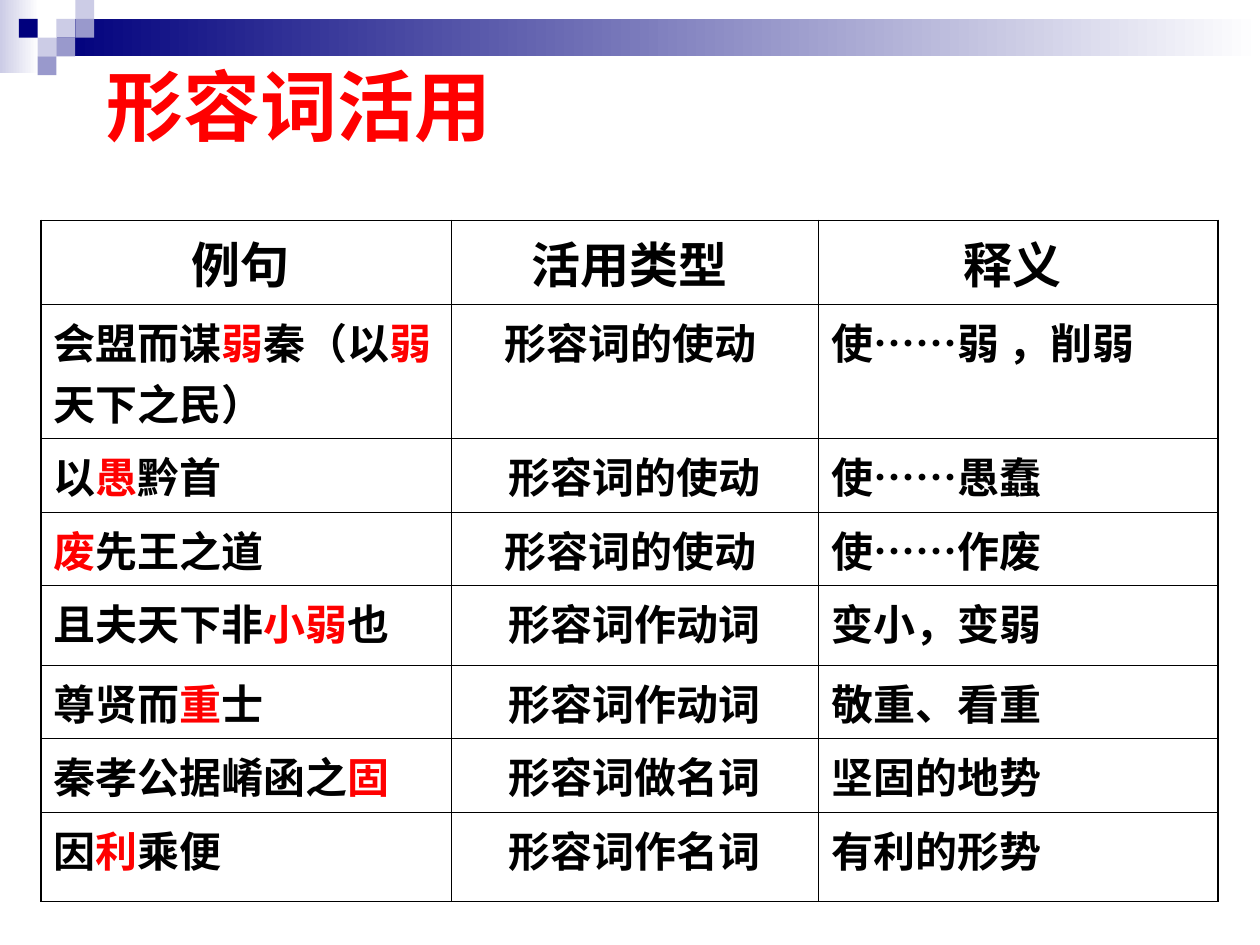
from lxml.etree import SubElement
from pptx import Presentation
from pptx.dml.color import RGBColor
from pptx.enum.shapes import MSO_SHAPE as Shape
from pptx.enum.text import MSO_ANCHOR as Anchor, PP_ALIGN as Align
from pptx.oxml import parse_xml
from pptx.oxml.ns import nsdecls
from pptx.util import Pt


def color(value):
    return RGBColor.from_string(value)


def add_run(paragraph, text, size, name, value):
    run = paragraph.add_run()
    run.text = text
    for key, setting in {"size": Pt(size), "name": name, "bold": True}.items():
        setattr(run.font, key, setting)
    run.font.color.rgb = color(value)


NAVY, LILAC, VIOLET = "00007D", "CCCCE6", "9999CC"
RED, BLACK, WHITE = "FF0000", "000000", "FFFFFF"

presentation = Presentation()
presentation.slide_width, presentation.slide_height = Pt(720), Pt(540)
slide = presentation.slides.add_slide(presentation.slide_layouts[6])

step = 10.75
bars = [(0, 0, 22.3, 41.8, LILAC, True), (32.4, step, 687.6, 21.3, NAVY, True)]
squares = [
    (3, 1, LILAC), (4, 0, LILAC), (4, 1, VIOLET), (2, 2, LILAC),
    (1, 1, NAVY), (3, 2, VIOLET), (2, 3, VIOLET),
]
bars += [(column * step, row * step, step, step, value, False) for column, row, value in squares]
for left, top, width, height, value, fades in bars:
    shape = slide.shapes.add_shape(Shape.RECTANGLE, Pt(left), Pt(top), Pt(width), Pt(height))
    shape.shadow.inherit = False
    shape.line.fill.background()
    if fades:
        shape.fill.gradient()
        shape.fill.gradient_angle = 0
        for stop, stop_value in zip(shape.fill.gradient_stops, (value, WHITE)):
            stop.color.rgb = color(stop_value)
    else:
        shape.fill.solid()
        shape.fill.fore_color.rgb = color(value)

title = slide.shapes.add_textbox(Pt(54), Pt(14.8), Pt(612), Pt(90)).text_frame
title.word_wrap = True
title.vertical_anchor = Anchor.MIDDLE
add_run(title.paragraphs[0], "形容词活用", 44, "Arial", RED)

rows = [
    ("例句 ", "活用类型 ", "释义 "),
    ("会盟而谋|弱|秦（以|弱|天下之民）", "形容词的使动 ", "使|……|弱 ，削弱"),
    ("以|愚|黔首", "形容词的使动", "使|……|愚蠢"),
    ("|废|先王之道", "形容词的使动 ", "使|……|作废"),
    ("且夫天下非|小弱|也", "形容词作动词", "变小，变弱"),
    ("尊贤而|重|士", "形容词作动词", "敬重、看重"),
    ("秦孝公据崤函之|固|", "形容词做名词", "坚固的地势"),
    ("因|利|乘便", "形容词作名词", "有利的形势"),
]
widths = [234.3, 209.8, 228.3]
heights = [47.8, 76.6, 42.2, 42, 45.6, 42, 42.2, 50.8]
plain = ("Times New Roman", BLACK)
marked = [("Times New Roman", RED), plain, ("Arial", BLACK)]

frame = slide.shapes.add_table(
    len(rows), len(widths), Pt(23.6), Pt(126), Pt(sum(widths)), Pt(sum(heights))
)
table = frame.table
table.first_row = table.horz_banding = False
for column, width in zip(table.columns, widths):
    column.width = Pt(width)
for row, height in zip(table.rows, heights):
    row.height = Pt(height)

for i, texts in enumerate(rows):
    for j, text in enumerate(texts):
        cell = table.cell(i, j)
        cell.fill.background()
        paragraph = cell.text_frame.paragraphs[0]
        paragraph.alignment = Align.CENTER if i == 0 or j == 1 else Align.LEFT
        for k, part in enumerate(text.split("|")):
            if part:
                name, value = marked[j] if k % 2 else plain
                add_run(paragraph, part, 24 if i else 28, name, value)

        outer = {"L": j == 0, "R": j == 2, "T": i == 0, "B": i == len(rows) - 1}
        properties = cell._tc.get_or_add_tcPr()
        for position, (side, is_outer) in enumerate(outer.items()):
            width = Pt(1.08 if is_outer else 0.45)
            border = parse_xml(f'<a:ln{side} {nsdecls("a")} w="{width}"/>')
            fill = SubElement(border, f"{{{border.nsmap['a']}}}solidFill")
            SubElement(fill, f"{{{border.nsmap['a']}}}srgbClr", val=BLACK)
            properties.insert(position, border)

presentation.save("out.pptx")
